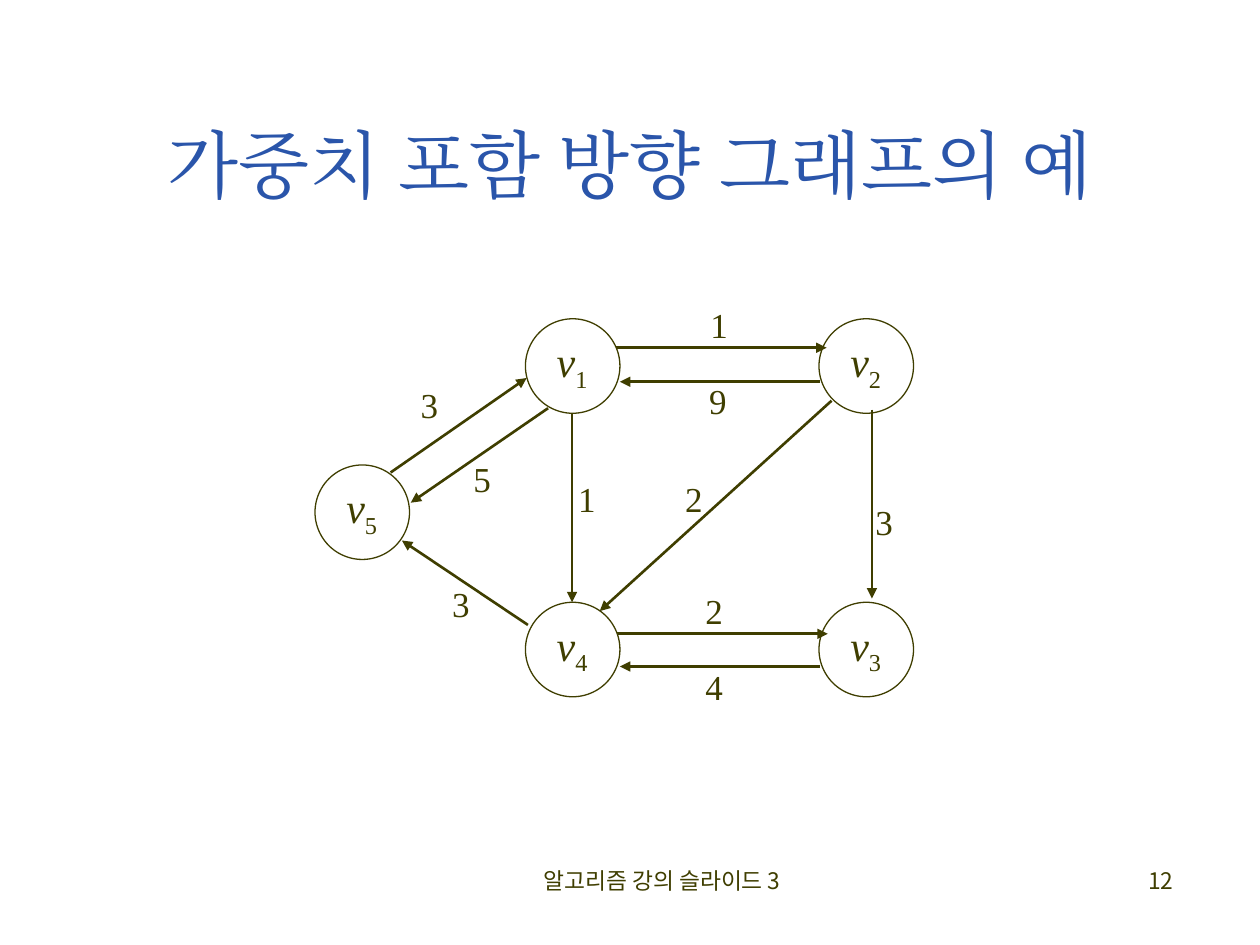
import pptx
import pptx.dml.color
import pptx.enum.shapes
import pptx.enum.text
import pptx.oxml.ns
import pptx.util
from lxml import etree
from pptx.util import Inches

INK = "3F3E00"
BLUE = "2A55AA"
SERIF = "Times New Roman"
SANS = "Noto Sans CJK KR"
ALIGN = pptx.enum.text.PP_ALIGN

NODE_SIZE = 0.75
NODES = [
    ("1", 4.17, 2.53),
    ("2", 6.5, 2.53),
    ("3", 6.5, 4.78),
    ("4", 4.17, 4.78),
    ("5", 2.5, 3.69),
]
EDGES = [
    ((3.1, 3.75), (4.18, 3), "3", (3.24, 3.03)),
    ((4.35, 3.24), (3.26, 3.99), "5", (3.66, 3.62)),
    ((4.19, 4.96), (3.19, 4.29), "3", (3.49, 4.61)),
    ((4.54, 3.28), (4.54, 4.78), "1", (4.49, 3.78)),
    ((6.92, 3.25), (6.92, 4.75), "3", (6.85, 3.96)),
    ((4.89, 2.76), (6.56, 2.76), "1", (5.54, 2.4)),
    ((6.51, 3.03), (4.92, 3.03), "9", (5.53, 3)),
    ((4.9, 5.03), (6.57, 5.03), "2", (5.5, 4.67)),
    ((6.51, 5.29), (4.92, 5.29), "4", (5.5, 5.27)),
    ((6.6, 3.18), (4.76, 4.85), "2", (5.34, 3.78)),
]


def colour(value):
    return pptx.dml.color.RGBColor.from_string(value)


def add_element(parent, tag, **attributes):
    return etree.SubElement(parent, pptx.oxml.ns.qn(tag), **attributes)


def style_paragraph(para, size, face, shade, align=ALIGN.LEFT):
    para.alignment = align
    para.font.size = pptx.util.Pt(size)
    para.font.name = face
    para.font.color.rgb = colour(shade)
    add_element(para.font._element, "a:ea", typeface=face)


def add_text(shapes, left, top, width, height, wrap):
    box = shapes.add_textbox(Inches(left), Inches(top), Inches(width), Inches(height))
    box.text_frame.word_wrap = wrap
    return box.text_frame


def add_label(shapes, left, top, width, height, size):
    frame = add_text(shapes, left, top, width, height, False)
    frame.auto_size = pptx.enum.text.MSO_AUTO_SIZE.SHAPE_TO_FIT_TEXT
    para = frame.paragraphs[0]
    para.line_spacing = 0.9
    style_paragraph(para, size, SERIF, INK)
    return para


def add_node(shapes, number, left, top):
    circle = shapes.add_shape(
        pptx.enum.shapes.MSO_SHAPE.OVAL,
        Inches(left), Inches(top), Inches(NODE_SIZE), Inches(NODE_SIZE),
    )
    circle.shadow.inherit = False
    circle.fill.background()
    circle.line.color.rgb = colour(INK)
    circle.line.width = pptx.util.Pt(0.75)
    para = add_label(shapes, left + 0.15, top + 0.09, 0.55, 0.51, 24)
    letter = para.add_run()
    letter.text = "v"
    letter.font.italic = True
    subscript = para.add_run()
    subscript.text = number
    subscript._r.get_or_add_rPr().set("baseline", "-25000")


def add_arrow(shapes, start, end):
    arrow = shapes.add_connector(
        pptx.enum.shapes.MSO_CONNECTOR.STRAIGHT,
        *(Inches(value) for value in start + end),
    )
    arrow.line.color.rgb = colour(INK)
    arrow.line.width = pptx.util.Pt(1.5)
    add_element(arrow.line._get_or_add_ln(), "a:tailEnd", type="triangle")
    add_element(arrow._element.spPr, "a:effectLst")


def add_graph(page):
    shapes = page.shapes.add_group_shape().shapes
    for node in NODES:
        add_node(shapes, *node)
    for start, end, weight, place in EDGES:
        add_arrow(shapes, start, end)
        add_label(shapes, *place, 0.34, 0.4, 20).add_run().text = weight


def add_title(page, left, top, width, height):
    title = page.shapes.title
    title.left, title.top = Inches(left), Inches(top)
    title.width, title.height = Inches(width), Inches(height)
    frame = title.text_frame
    frame.text = "가중치 포함 방향 그래프의 예"
    frame.vertical_anchor = pptx.enum.text.MSO_ANCHOR.MIDDLE
    style_paragraph(frame.paragraphs[0], 42, SERIF, BLUE, ALIGN.CENTER)


def add_footer(page, top, height):
    for text, left, width, align in (
        ("알고리즘 강의 슬라이드 3", 3.67, 3.17, ALIGN.CENTER),
        ("12", 7.33, 2.08, ALIGN.RIGHT),
    ):
        frame = add_text(page.shapes, left, top, width, height, True)
        frame.text = text
        style_paragraph(frame.paragraphs[0], 13, SANS, INK, align)


def main():
    deck = pptx.Presentation()
    deck.slide_width, deck.slide_height = Inches(10), Inches(7.5)
    page = deck.slides.add_slide(deck.slide_layouts[5])
    add_title(page, 0.75, 0.67, 8.5, 1.25)
    add_footer(page, 6.83, 0.5)
    add_graph(page)
    deck.save("out.pptx")


if __name__ == "__main__":
    main()
